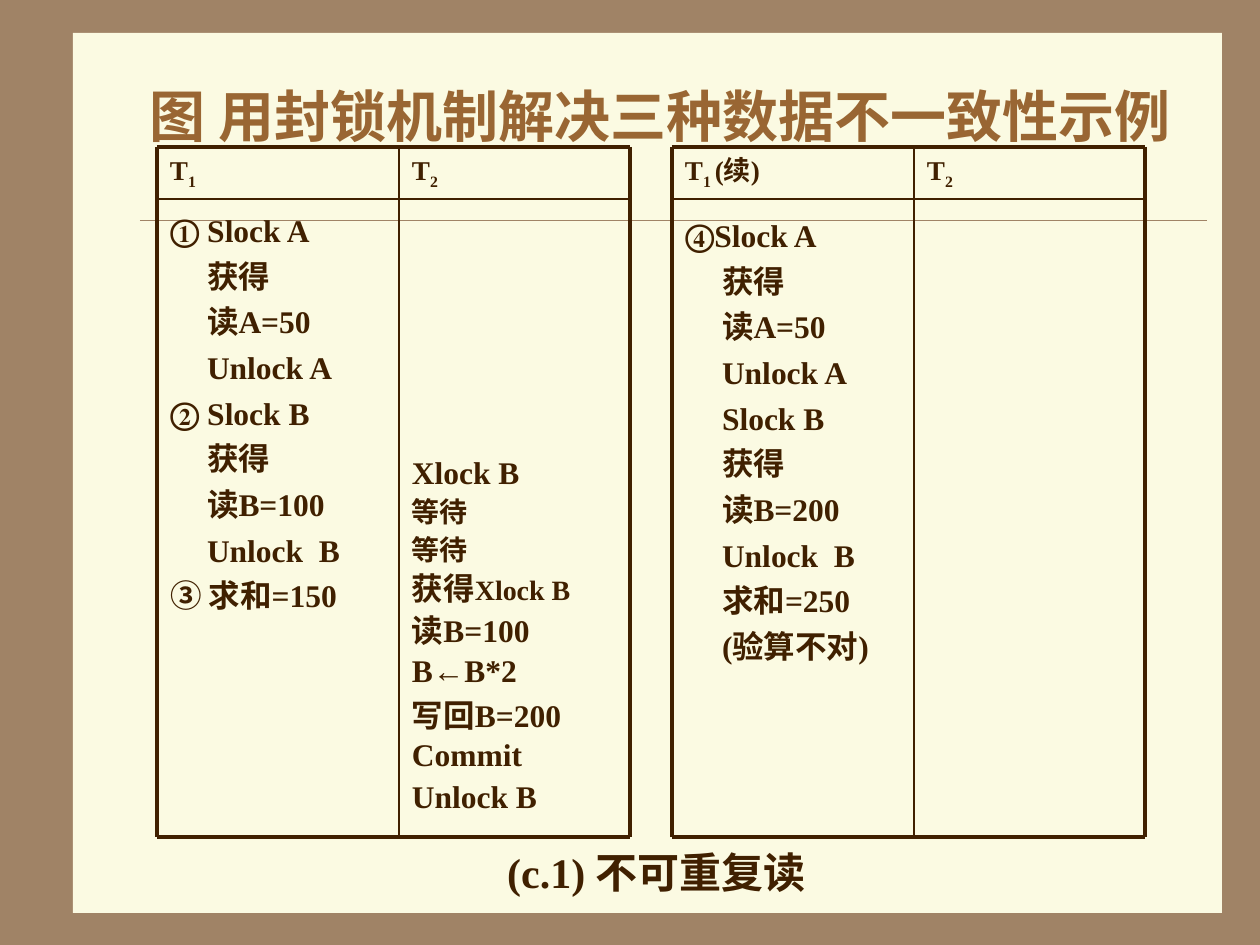
from dataclasses import dataclass

from lxml.etree import SubElement
from pptx import Presentation
from pptx.dml.color import RGBColor
from pptx.enum.shapes import MSO_CONNECTOR, MSO_SHAPE
from pptx.enum.text import MSO_ANCHOR, MSO_AUTO_SIZE, PP_ALIGN
from pptx.oxml.ns import qn
from pptx.util import Emu, Pt


@dataclass(frozen=True)
class Theme:
    """Colours, typeface and sizes of the slide."""
    font: str = "Times New Roman"
    frame: str = "A08366"
    panel: str = "FBFAE2"
    title: str = "996633"
    ink: str = "402000"
    title_size: float = 32
    caption_size: float = 24
    body_size: float = 18
    small_size: float = 16
    header_size: float = 15.5
    thick: float = 2.25
    thin: float = 1
    hairline: float = 0.25


@dataclass(frozen=True)
class Run:
    """A piece of text in one size."""
    text: str
    size: float = Theme.body_size
    subscript: bool = False


@dataclass(frozen=True)
class Line:
    """One line of a schedule column."""
    runs: tuple
    pitch: float = 26.1
    indent: int = 0


THEME = Theme()
PX = 914400 / 126
INDENT = 37
MARGIN = 13
FIRST_WIDTH, SECOND_WIDTH = 242, 231
TOP, HEADER_BOTTOM, BOTTOM = 147, 199, 837
BODY_HEIGHT = 638


def px(value):
    """Turn px into EMU."""
    return Emu(round(value * PX))


def box(left, top, width, height):
    """Give a px rectangle in EMU."""
    return [px(value) for value in (left, top, width, height)]


def style(font, size, color=THEME.ink):
    """Format a font in the slide's bold face."""
    font.name, font.size, font.bold = THEME.font, Pt(size), True
    font.color.rgb = RGBColor.from_string(color)


def header(number, suffix=""):
    """Build the heading line of a transaction."""
    size = THEME.header_size
    runs = [Run("T", size), Run(number, size, True)]
    if suffix:
        runs.append(Run(suffix, size))
    return [Line(tuple(runs), pitch=19)]


def step(label, *actions):
    """Build a numbered line followed by its indented actions."""
    return [Line((Run(label),))] + [Line((Run(action),), indent=INDENT) for action in actions]


def writer_lines():
    """Build the lines of the waiting transaction."""
    small = THEME.small_size
    waiting = [Line((Run("等待", small),), pitch=21.5)] * 2
    granted = Line((Run("获得"), Run("Xlock B", small)), pitch=23)
    actions = (("读B=100", 24.5), ("B←B*2", 22.5), ("写回B=200", 25.5),
               ("Commit", 22.5), ("Unlock B", 24))
    return [Line((Run("Xlock B"),), pitch=24), *waiting, granted,
            *[Line((Run(action),), pitch=pitch) for action, pitch in actions]]


def add_rule(slide, start, end, color, width):
    """Draw a straight line between two px points."""
    rule = slide.shapes.add_connector(MSO_CONNECTOR.STRAIGHT, *box(*start, *end))
    rule.line.color.rgb = RGBColor.from_string(color)
    rule.line.width = Pt(width)
    SubElement(rule.element.spPr, qn("a:effectLst"))


def add_panel(slide):
    """Draw the backdrop, its panel and the hairline."""
    fill = slide.background.fill
    fill.solid()
    fill.fore_color.rgb = RGBColor.from_string(THEME.frame)
    panel = slide.shapes.add_shape(MSO_SHAPE.RECTANGLE, *box(73, 33, 1149, 880))
    panel.shadow.inherit = False
    panel.fill.solid()
    panel.fill.fore_color.rgb = RGBColor.from_string(THEME.panel)
    panel.line.fill.background()
    add_rule(slide, (140, 220), (1207, 220), THEME.frame, THEME.hairline)


def add_title(slide, text):
    """Fill the title placeholder and bring it above the panel."""
    title = slide.shapes.title
    title.left, title.top, title.width, title.height = box(137, 63, 1071, 105)
    frame = title.text_frame
    frame.text = text
    frame.auto_size = MSO_AUTO_SIZE.NONE
    frame.vertical_anchor = MSO_ANCHOR.MIDDLE
    frame.paragraphs[0].alignment = PP_ALIGN.LEFT
    style(frame.paragraphs[0].runs[0].font, THEME.title_size, THEME.title)
    title.element.getparent().append(title.element)


def add_caption(slide, text):
    """Add the centred caption under the schedules."""
    frame = slide.shapes.add_textbox(*box(478, 830, 357, 84)).text_frame
    frame.text = text
    frame.word_wrap = False
    frame.vertical_anchor = MSO_ANCHOR.MIDDLE
    frame.paragraphs[0].alignment = PP_ALIGN.CENTER
    style(frame.paragraphs[0].runs[0].font, THEME.caption_size)


def add_lines(slide, area, lines, margin_top=0):
    """Add a text box holding the lines of a schedule column."""
    frame = slide.shapes.add_textbox(*box(*area)).text_frame
    frame.word_wrap = True
    frame.margin_left = frame.margin_right = px(MARGIN)
    frame.margin_top, frame.margin_bottom = px(margin_top), 0
    for index, line in enumerate(lines):
        paragraph = frame.add_paragraph() if index else frame.paragraphs[0]
        paragraph.line_spacing = Pt(line.pitch)
        if line.indent:
            paragraph._p.get_or_add_pPr().set("marL", str(px(line.indent)))
        for part in line.runs:
            run = paragraph.add_run()
            run.text = part.text
            style(run.font, part.size)
            if part.subscript:
                run._r.get_or_add_rPr().set("baseline", "-25000")


def add_grid(slide, left):
    """Rule a schedule: thick on the outside, thin inside."""
    middle = left + FIRST_WIDTH
    right = middle + SECOND_WIDTH
    weights = (THEME.thick, THEME.thin, THEME.thick)
    for y, width in zip((TOP, HEADER_BOTTOM, BOTTOM), weights):
        add_rule(slide, (left, y), (right, y), THEME.ink, width)
    for x, width in zip((left, middle, right), (THEME.thick, THEME.thin, THEME.thick)):
        add_rule(slide, (x, TOP), (x, BOTTOM), THEME.ink, width)


def add_schedule(slide, left, suffix=""):
    """Add the headings and the grid of a two-transaction schedule."""
    height = HEADER_BOTTOM - TOP
    first = header("1 ", suffix) if suffix else header("1")
    add_lines(slide, (left, TOP, FIRST_WIDTH, height), first, 10)
    add_lines(slide, (left + FIRST_WIDTH, TOP, SECOND_WIDTH, height), header("2"), 10)
    add_grid(slide, left)


def main():
    """Build and save the slide."""
    presentation = Presentation()
    presentation.slide_width, presentation.slide_height = px(1260), px(945)
    slide = presentation.slides.add_slide(presentation.slide_layouts[5])
    add_panel(slide)
    add_title(slide, "图 用封锁机制解决三种数据不一致性示例")
    add_caption(slide, "(c.1) 不可重复读")
    reader = (step("① Slock A", "获得", "读A=50", "Unlock A")
              + step("② Slock B", "获得", "读B=100", "Unlock  B")
              + step("③ 求和=150"))
    reread = step("④Slock A", "获得", "读A=50", "Unlock A", "Slock B", "获得",
                  "读B=200", "Unlock  B", "求和=250", "(验算不对)")
    add_lines(slide, (157, 203, FIRST_WIDTH - 11, BODY_HEIGHT), reader)
    add_lines(slide, (399, 203, FIRST_WIDTH, BODY_HEIGHT), writer_lines(), 246)
    add_schedule(slide, 157)
    add_lines(slide, (672, 180, FIRST_WIDTH - 11, BODY_HEIGHT), reread, 28)
    add_schedule(slide, 672, "(续)")
    presentation.save("out.pptx")


if __name__ == "__main__":
    main()
